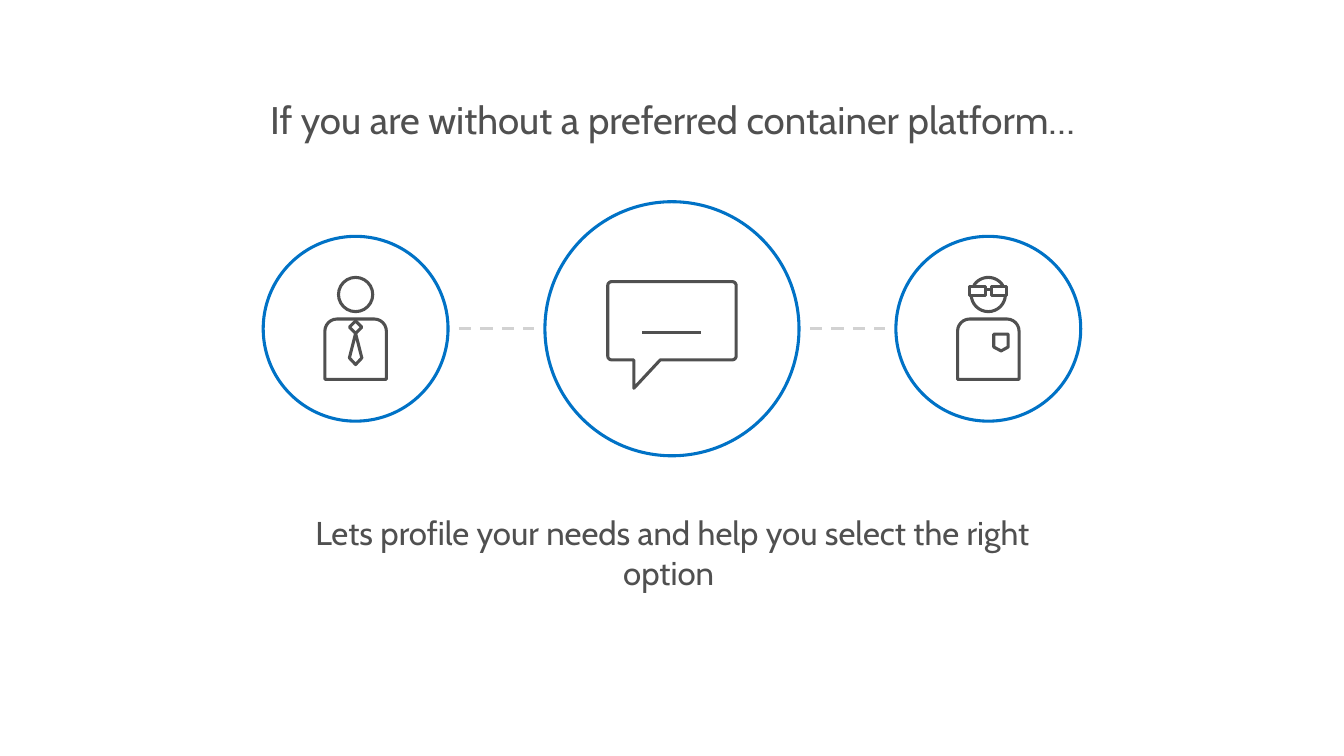
import math

from lxml import etree
from pptx import Presentation
from pptx.dml.color import RGBColor
from pptx.enum import dml, shapes, text
from pptx.oxml import ns
from pptx.util import Cm, Pt

GREY = RGBColor(0x50, 0x50, 0x50)
BLUE = RGBColor(0x00, 0x72, 0xC6)
PALE = RGBColor(0xD2, 0xD2, 0xD2)
WHITE = RGBColor(0xFF, 0xFF, 0xFF)
SHAPE = shapes.MSO_SHAPE


def style_line(line, color):
    """Give an outline the colour and the common width."""
    line.color.rgb = color
    line.width = Pt(2.25)


def style_shape(sp, color, fill=None):
    """Set outline and fill, and drop the shadow."""
    sp.shadow.inherit = False
    style_line(sp.line, color)
    if fill is None:
        sp.fill.background()
    else:
        sp.fill.solid()
        sp.fill.fore_color.rgb = fill


def add_preset(slide, kind, x, y, w, h, color=GREY, fill=None):
    """Draw a preset shape with its left top corner at x, y."""
    sp = slide.shapes.add_shape(kind, Cm(x), Cm(y), Cm(w), Cm(h))
    style_shape(sp, color, fill)
    return sp


def add_line(slide, x1, x2, y, color=GREY, dash=None):
    """Draw a horizontal line."""
    cxn = slide.shapes.add_connector(
        shapes.MSO_CONNECTOR.STRAIGHT, Cm(x1), Cm(y), Cm(x2), Cm(y))
    style_line(cxn.line, color)
    cxn.line.dash_style = dash
    etree.SubElement(cxn.line._get_or_add_ln().getparent(), ns.qn("a:effectLst"))


def add_outline(slide, cx, cy, points, close=True):
    """Draw a freeform through points measured from cx, cy."""
    pts = [(Cm(cx + x), Cm(cy + y)) for x, y in points]
    builder = slide.shapes.build_freeform(*pts[0])
    builder.add_line_segments(pts[1:], close=close)
    style_shape(builder.convert_to_shape(), GREY)


def arc(x, y, radius, start, end, steps=16):
    """Return points on an arc, with angles clockwise from the right."""
    angles = [math.radians(start + (end - start) * i / steps)
              for i in range(steps + 1)]
    return [(x + radius * math.cos(a), y + radius * math.sin(a)) for a in angles]


def add_text(sp, content, size):
    """Fill a shape with one centred paragraph."""
    tf = sp.text_frame
    tf.word_wrap = True
    tf.vertical_anchor = text.MSO_ANCHOR.TOP
    tf.text = content
    p = tf.paragraphs[0]
    p.alignment = text.PP_ALIGN.CENTER
    font = p.runs[0].font
    font.name, font.size, font.color.rgb = "Cabin", Pt(size), GREY
    return tf


def add_title(slide, x, y, w, h):
    """Place and format the title."""
    sp = slide.shapes.title
    sp.left, sp.top, sp.width, sp.height = Cm(x), Cm(y), Cm(w), Cm(h)
    tf = add_text(sp, "If you are without a preferred container platform…", 28)
    tf.auto_size = text.MSO_AUTO_SIZE.NONE
    tf.margin_left = tf.margin_right = Cm(0.4)
    tf.margin_top = tf.margin_bottom = Cm(0.25)
    p = tf.paragraphs[0]
    p.line_spacing, p.space_after = 1.2, Pt(6)


def add_caption(slide, x, y, w, h):
    """Place the text below the circles."""
    sp = slide.shapes.add_textbox(Cm(x), Cm(y), Cm(w), Cm(h))
    add_text(sp, "Lets profile your needs and help you select the right option ", 24)


def add_body(slide, cx, cy):
    """Draw the shoulders of a person."""
    sp = add_preset(slide, SHAPE.ROUND_2_SAME_RECTANGLE,
                    cx - 0.79, cy - 0.25, 1.58, 1.55)
    sp.adjustments[0] = 0.2


def add_customer(slide, cx, cy):
    """Draw the person with a tie."""
    add_preset(slide, SHAPE.OVAL, cx - 0.44, cy - 1.32, 0.88, 0.88)
    add_body(slide, cx, cy)
    for top, side, bottom in ((-0.2, -0.04, 0.12), (0.12, 0.75, 0.92)):
        add_outline(slide, cx, cy,
                    [(0, top), (0.16, side), (0, bottom), (-0.16, side)])


def add_expert(slide, cx, cy):
    """Draw the person with glasses and a pocket."""
    for start, end in ((0, 180), (212, 328)):
        add_outline(slide, cx, cy, arc(0, -0.88, 0.44, start, end), close=False)
    for x in (-0.48, 0.08):
        add_preset(slide, SHAPE.RECTANGLE, cx + x, cy - 1.08, 0.4, 0.22)
    add_line(slide, cx - 0.08, cx + 0.08, cy - 1)
    add_body(slide, cx, cy)
    add_outline(slide, cx, cy, [(0.14, 0.14), (0.51, 0.14), (0.51, 0.47),
                                (0.33, 0.57), (0.14, 0.47)])


def add_bubble(slide, cx, cy):
    """Draw the speech bubble."""
    corners = ((-1.55, 0.7, 90), (-1.55, -1.11, 180),
               (1.55, -1.11, 270), (1.55, 0.7, 360))
    rounded = [pt for x, y, a in corners for pt in arc(x, y, 0.1, a, a + 90, 6)]
    add_outline(slide, cx, cy,
                [(-0.98, 0.8), *rounded, (-0.3, 0.8), (-0.98, 1.53)])
    add_line(slide, cx - 0.76, cx + 0.74, cy + 0.09)


def add_dialogue(slide, cx, cy, offset):
    """Draw three linked circles with their icons around cx, cy."""
    side, middle, gap = 4.75, 6.53, 0.28
    icons = ((0, middle, add_bubble), (offset, side, add_expert),
             (-offset, side, add_customer))
    for dx, size, add_icon in icons:
        x = cx + dx
        add_preset(slide, SHAPE.OVAL, x - size / 2, cy - size / 2,
                   size, size, BLUE, WHITE)
        add_icon(slide, x, cy)
    inner, outer = middle / 2 + gap, offset - side / 2 - gap
    for start in (cx - outer, cx + inner):
        add_line(slide, start, start + outer - inner, cy, PALE,
                 dml.MSO_LINE.DASH)


def main():
    """Build the slide and save it."""
    prs = Presentation()
    prs.slide_width, prs.slide_height = Cm(34.54), Cm(19.43)
    slide = prs.slides.add_slide(prs.slide_layouts[5])
    add_title(slide, 4.55, 1.98, 25.45, 2.08)
    add_caption(slide, 6.7, 13.06, 21.16, 2.31)
    add_dialogue(slide, 17.27, 8.45, 8.13)
    prs.save("out.pptx")


if __name__ == "__main__":
    main()
